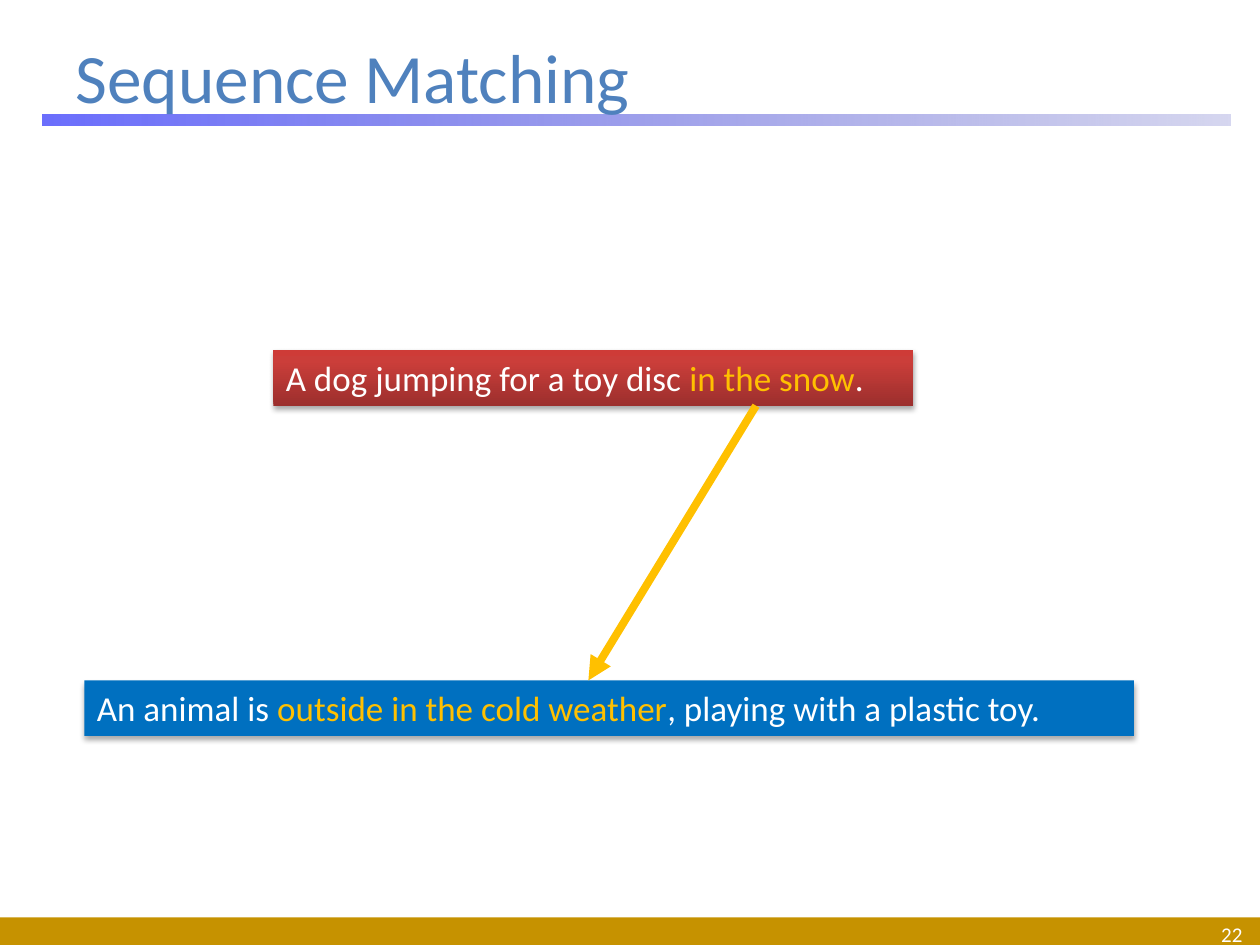
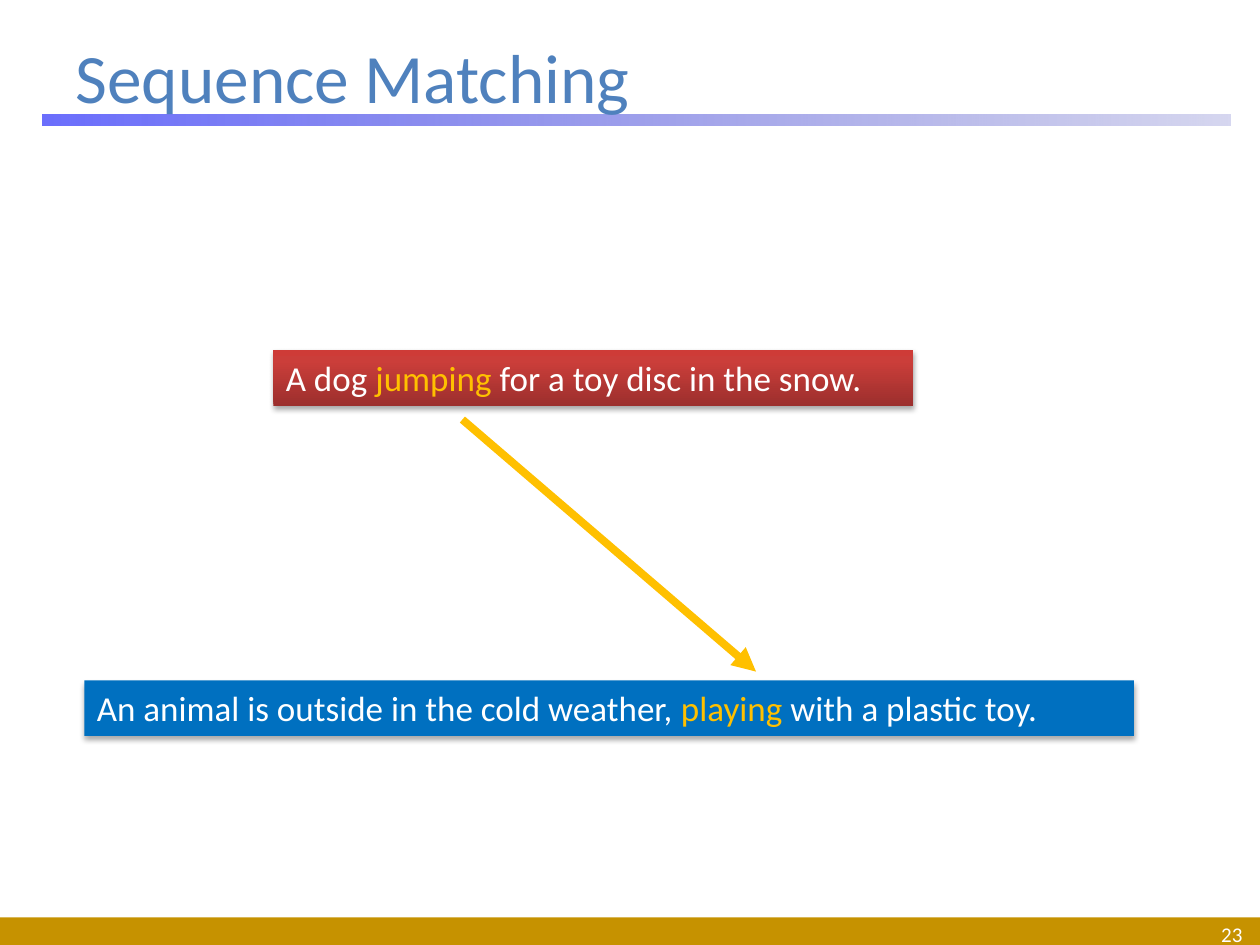
from pptx import Presentation
from pptx.dml.color import RGBColor
from pptx.enum import shapes, text
from pptx.oxml import parse_xml
from pptx.oxml.ns import nsdecls, qn
from pptx.util import Inches, Pt

FONT = "Calibri"
WHITE = RGBColor(0xFF, 0xFF, 0xFF)
TITLE_BLUE = RGBColor(0x4F, 0x81, 0xBD)
SENTENCE_BLUE = RGBColor(0x00, 0x70, 0xC0)
HIGHLIGHT = RGBColor(0xFF, 0xC0, 0x00)
FOOTER_GOLD = RGBColor(0xC6, 0x92, 0x00)
# Gradient stops: position %, colour, opacity %
RULE_STOPS = [(0, RGBColor(0x46, 0x4A, 0xFC), 80), (100, RGBColor(0x32, 0x35, 0xB4), 20)]
RED_STOPS = [(0, RGBColor(0x9C, 0x2F, 0x2D), 100), (80, RGBColor(0xCB, 0x3E, 0x3A), 100),
             (100, RGBColor(0xCE, 0x3B, 0x37), 100)]


def write(frame, content, size=20, color=WHITE, align=text.PP_ALIGN.LEFT,
          anchor=text.MSO_ANCHOR.TOP, fit=text.MSO_AUTO_SIZE.NONE):
    """Fill a text frame; parts between asterisks are highlighted."""
    frame.word_wrap = True
    frame.auto_size = fit
    frame.vertical_anchor = anchor
    paragraph = frame.paragraphs[0]
    paragraph.alignment = align
    for index, part in enumerate(content.split("*")):
        run = paragraph.add_run()
        run.text = part
        run.font.name = FONT
        run.font.size = Pt(size)
        run.font.color.rgb = HIGHLIGHT if index % 2 else color


class Deck:
    def __init__(self):
        self.prs = Presentation()
        self.prs.slide_width, self.prs.slide_height = Inches(10), Inches(7.5)
        self.layout = self.prs.slide_layouts[5]
        self.slide = None

    def new_slide(self, title, number):
        self.slide = self.prs.slides.add_slide(self.layout)
        heading = self.slide.shapes.title
        self.place(heading, 0.5, 0.3, 9, 0.61)
        write(heading.text_frame, title, size=39.6, color=TITLE_BLUE,
              anchor=text.MSO_ANCHOR.MIDDLE)
        page = self.slide.shapes.add_textbox(Inches(7.63), Inches(7.29), Inches(2.33), Inches(0.24))
        page.text_frame.margin_top = page.text_frame.margin_bottom = 0
        write(page.text_frame, str(number), size=12, align=text.PP_ALIGN.RIGHT,
              anchor=text.MSO_ANCHOR.MIDDLE)

    def place(self, shape, left, top, width, height):
        shape.left, shape.top = Inches(left), Inches(top)
        shape.width, shape.height = Inches(width), Inches(height)

    def bar(self, left, top, width, height, color=None, stops=(), angle=0):
        bar = self.slide.shapes.add_shape(shapes.MSO_SHAPE.RECTANGLE, Inches(left), Inches(top),
                                          Inches(width), Inches(height))
        bar.shadow.inherit = False
        bar.line.fill.background()
        if stops:
            self.gradient(bar, stops, angle)
        else:
            bar.fill.solid()
            bar.fill.fore_color.rgb = color
        return bar

    def gradient(self, shape, stops, angle):
        shape.fill.background()
        properties = shape.element.spPr
        marks = "".join(
            f'<a:gs pos="{pos * 1000}"><a:srgbClr val="{color}">'
            f'<a:alpha val="{alpha * 1000}"/></a:srgbClr></a:gs>' for pos, color, alpha in stops)
        properties.replace(properties.find(qn("a:noFill")), parse_xml(
            f'<a:gradFill {nsdecls("a")} rotWithShape="1"><a:gsLst>{marks}</a:gsLst>'
            f'<a:lin ang="{angle * 60000}" scaled="0"/></a:gradFill>'))

    def shared_bar(self, *box, **fill):
        """Draw a bar and move it to the back of the layout."""
        self.layout.shapes.element.insert(2, self.bar(*box, **fill).element)

    def sentence(self, content, left, top, width, **fill):
        box = self.bar(left, top, width, 0.44, **fill)
        box.element.spPr.find(qn("a:effectLst")).append(parse_xml(
            f'<a:outerShdw {nsdecls("a")} blurRad="{Pt(3.1)}" dist="{Pt(1.8)}" dir="5400000" '
            'rotWithShape="0"><a:srgbClr val="000000"><a:alpha val="35000"/></a:srgbClr>'
            '</a:outerShdw>'))
        write(box.text_frame, content)

    def arrow(self, start, end):
        arrow = self.slide.shapes.add_connector(shapes.MSO_CONNECTOR.STRAIGHT,
                                                *map(Inches, start + end))
        arrow.line.color.rgb = HIGHLIGHT
        arrow.line.width = Pt(4.5)
        arrow.line._get_or_add_ln().append(parse_xml(f'<a:tailEnd {nsdecls("a")} type="triangle"/>'))
        arrow.element.spPr.append(parse_xml(f'<a:effectLst {nsdecls("a")}/>'))


# Matched phrases and the arrow that links them
MATCHES = [
    ("A dog jumping for a toy disc *in the snow*.",
     "An animal is *outside in the cold weather*, playing with a plastic toy.",
     (6, 3.22), (4.67, 5.4)),
    ("A dog *jumping* for a toy disc in the snow.",
     "An animal is outside in the cold weather, *playing* with a plastic toy.",
     (3.67, 3.33), (6, 5.33)),
]


def main():
    deck = Deck()
    for number, (premise, hypothesis, start, end) in enumerate(MATCHES, start=22):
        deck.new_slide("Sequence Matching", number)
        deck.sentence(hypothesis, 0.67, 5.4, 8.33, color=SENTENCE_BLUE)
        deck.sentence(premise, 2.17, 2.78, 5.08, stops=RED_STOPS, angle=270)
        deck.arrow(start, end)

    # Title rule and footer band shared by all slides
    deck.shared_bar(0.34, 0.91, 9.43, 0.09, stops=RULE_STOPS)
    deck.shared_bar(0, 7.28, 10, 0.25, color=FOOTER_GOLD)
    deck.prs.save("out.pptx")


if __name__ == "__main__":
    main()
